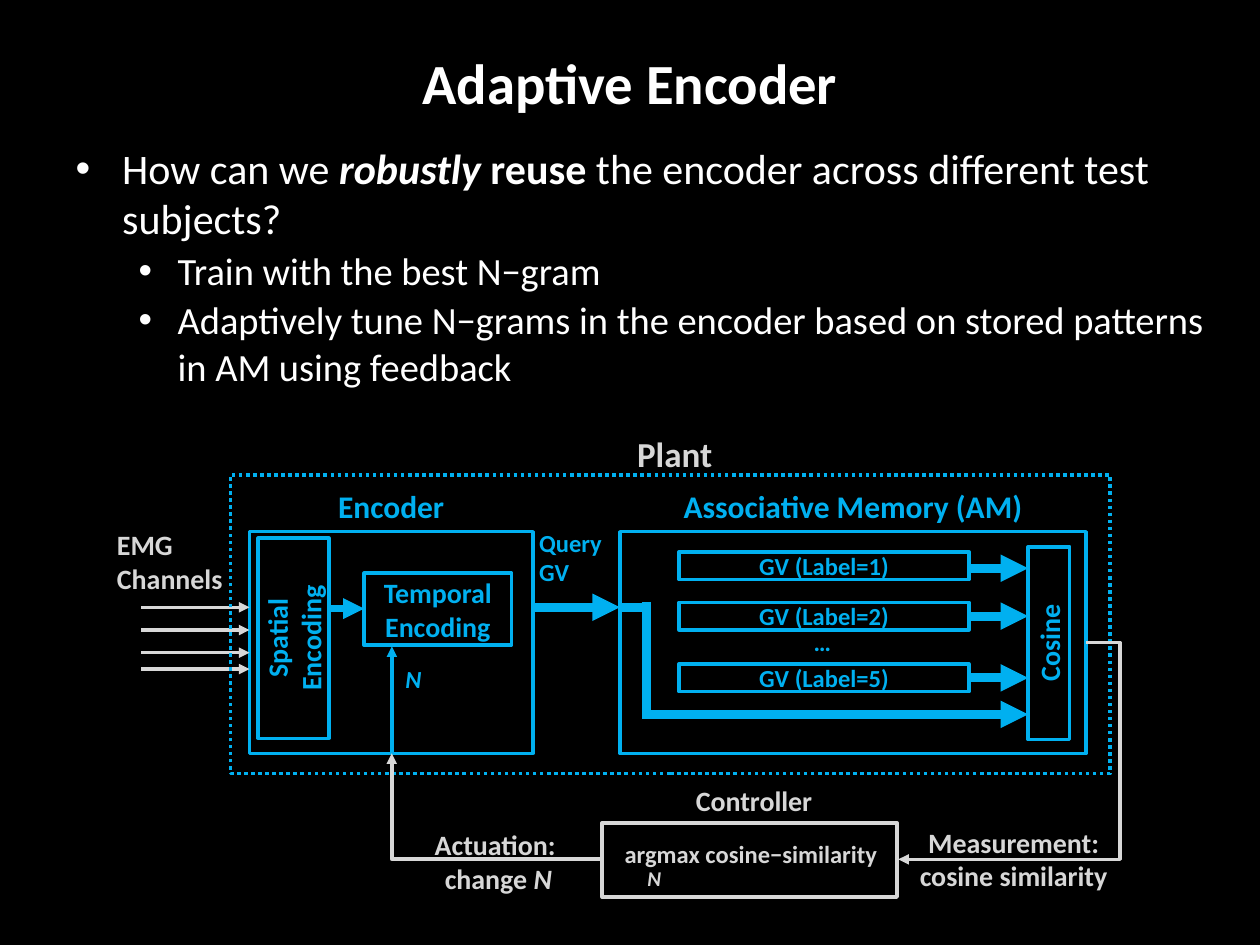
from dataclasses import dataclass

from lxml.etree import SubElement
from pptx import Presentation
from pptx.dml.color import RGBColor
from pptx.enum.dml import MSO_LINE_DASH_STYLE as Dash
from pptx.enum.shapes import MSO_CONNECTOR as Connector, MSO_SHAPE as Shape
from pptx.enum.text import MSO_ANCHOR as Anchor, MSO_AUTO_SIZE as AutoSize, PP_ALIGN as Align
from pptx.oxml.ns import qn
from pptx.util import Inches, Pt


@dataclass(frozen=True)
class Theme:
    font: str = "Calibri"
    background: RGBColor = RGBColor(0, 0, 0)
    white: RGBColor = RGBColor(255, 255, 255)
    blue: RGBColor = RGBColor(0x00, 0xB0, 0xF0)
    gray: RGBColor = RGBColor(0xD7, 0xD7, 0xD7)
    title: float = 32.4
    body: float = 24
    sub_body: float = 22
    plant: float = 20
    heading: float = 18
    label: float = 16
    small: float = 14
    tiny: float = 12
    thin: float = 2
    medium: float = 4
    thick: float = 5.25


THEME = Theme()


def format_run(run, size, color, bold=False, italic=False):
    font = run.font
    font.name, font.size, font.bold, font.italic = THEME.font, Pt(size), bold, italic
    font.color.rgb = color


def format_text(text_frame, size, color, align, italic=False):
    for paragraph in text_frame.paragraphs:
        paragraph.alignment = align
        for run in paragraph.runs:
            format_run(run, size, color, bold=True, italic=italic)


def place(shape, left, top, width, height):
    shape.left, shape.top = Inches(left), Inches(top)
    shape.width, shape.height = Inches(width), Inches(height)


def add_title(slide, text):
    title = slide.shapes.title
    place(title, 0.5, 0.3, 9, 0.7)
    title.text_frame.text = text
    title.text_frame.vertical_anchor = Anchor.MIDDLE
    title.text_frame.auto_size = AutoSize.NONE
    format_text(title.text_frame, THEME.title, THEME.white, Align.CENTER)


def add_bullets(slide, bullets):
    """Fill the body from (level, runs); a run is (text, bold, italic)."""
    body = slide.placeholders[1]
    place(body, 0.5, 1.08, 9.33, 2.12)
    text_frame = body.text_frame
    text_frame.auto_size = AutoSize.NONE
    styles = [(0.37, 0.37, 0, THEME.body), (0.81, 0.31, 2, THEME.sub_body)]
    for index, (level, runs) in enumerate(bullets):
        paragraph = text_frame.add_paragraph() if index else text_frame.paragraphs[0]
        margin, hanging, space_before, size = styles[level]
        paragraph.level = level
        paragraph.space_before = Pt(space_before)
        for text, bold, italic in runs:
            run = paragraph.add_run()
            run.text = text
            format_run(run, size, THEME.white, bold, italic)
        properties = paragraph._p.get_or_add_pPr()
        properties.set("marL", str(Inches(margin)))
        properties.set("indent", str(-Inches(hanging)))
        SubElement(properties, qn("a:buChar"), char="•")


def add_box(slide, left, top, width, height, text="", color=THEME.blue,
            size=THEME.label, vertical=False, dash=None):
    box = slide.shapes.add_shape(Shape.RECTANGLE, 0, 0, 0, 0)
    place(box, left, top, width, height)
    box.shadow.inherit = False
    box.fill.background()
    box.line.color.rgb = color
    box.line.width = Pt(THEME.thin)
    if dash:
        box.line.dash_style = dash
    if text:
        text_frame = box.text_frame
        text_frame.text = text
        text_frame.vertical_anchor = Anchor.MIDDLE
        format_text(text_frame, size, color, Align.CENTER)
        if vertical:
            text_frame._txBody.bodyPr.set("vert", "vert270")


def add_label(slide, left, top, width, height, text, size, color,
              align=Align.CENTER, wrap=True, italic=False):
    label = slide.shapes.add_textbox(
        Inches(left), Inches(top), Inches(width), Inches(height))
    text_frame = label.text_frame
    text_frame.text = text
    text_frame.word_wrap = wrap
    text_frame.auto_size = AutoSize.SHAPE_TO_FIT_TEXT
    format_text(text_frame, size, color, align, italic)
    return label


def add_line(slide, start, end, color=THEME.blue, width=THEME.thick,
             arrow=True, kind=Connector.STRAIGHT):
    line = slide.shapes.add_connector(kind, *map(Inches, start + end))
    line.line.color.rgb = color
    line.line.width = Pt(width)
    if arrow:
        SubElement(line.line._get_or_add_ln(), qn("a:tailEnd"), type="triangle")
    SubElement(line._element.spPr, qn("a:effectLst"))
    return line


def add_elbow(slide, start, end, preset, bend=None):
    """Add a gray elbow arrow; bend is the turning point as a share of its width."""
    elbow = add_line(slide, start, end, THEME.gray, THEME.thin, kind=Connector.ELBOW)
    geometry = elbow._element.spPr.find(qn("a:prstGeom"))
    geometry.set("prst", preset)
    if bend is not None:
        adjustments = geometry.get_or_add_avLst()
        SubElement(adjustments, qn("a:gd"), name="adj1", fmla=f"val {round(bend * 100000)}")


def add_associative_memory(slide):
    add_box(slide, 4.92, 4.22, 3.7, 1.76)
    add_label(slide, 4.92, 3.82, 3.7, 0.4, "Associative Memory (AM)", THEME.heading, THEME.blue)
    for number, top, arrow_y in [(1, 4.38, 4.51), (2, 4.78, 4.89), (5, 5.27, 5.38)]:
        add_box(slide, 5.39, top, 2.3, 0.22, f"GV (Label={number})", size=THEME.small)
        add_line(slide, (7.69, arrow_y), (8.16, arrow_y))
    add_label(slide, 6.36, 4.93, 0.51, 0.38, "…", THEME.small, THEME.blue, Align.LEFT)
    add_box(slide, 8.16, 4.34, 0.33, 1.53, "Cosine", vertical=True)
    add_line(slide, (4.23, 4.82), (4.92, 4.82))
    add_line(slide, (5.13, 5.67), (8.16, 5.67))
    add_line(slide, (4.92, 4.82), (5.17, 4.82), arrow=False)
    add_line(slide, (5.13, 4.78), (5.13, 5.71), arrow=False)
    add_label(slide, 4.18, 4.14, 0.76, 0.64, "Query\vGV", THEME.small, THEME.blue,
              Align.LEFT, wrap=False)


def add_encoder(slide):
    add_box(slide, 1.98, 4.22, 2.25, 1.76)
    add_label(slide, 1.98, 3.82, 2.25, 0.4, "Encoder", THEME.heading, THEME.blue)
    add_label(slide, 0.83, 4.14, 1.05, 0.64, "EMG\nChannels", THEME.label, THEME.gray,
              Align.LEFT, wrap=False)
    for y in (4.82, 5, 5.18, 5.31):
        add_line(slide, (1.12, y), (1.98, y), THEME.gray, THEME.thin)
    add_box(slide, 2.05, 4.27, 0.56, 1.59, "Spatial Encoding", vertical=True)
    add_box(slide, 2.89, 4.55, 1.17, 0.57, "Temporal\nEncoding")
    add_line(slide, (2.61, 4.83), (2.89, 4.83), width=THEME.medium)
    add_line(slide, (3.11, 5.98), (3.11, 5.13), width=THEME.thin)
    add_label(slide, 3.12, 5.22, 1.04, 0.38, "N", THEME.small, THEME.blue,
              Align.LEFT, italic=True)


def add_controller(slide):
    gray = THEME.gray
    add_box(slide, 4.78, 6.53, 2.34, 0.59, color=gray)
    add_label(slide, 5.03, 6.17, 1.91, 0.38, "Controller", THEME.label, gray)
    add_elbow(slide, (8.62, 5.1), (7.13, 6.82), "bentConnector3", bend=-0.18)
    add_label(slide, 7.09, 6.5, 1.91, 0.64, "Measurement: cosine similarity", THEME.label, gray)
    add_elbow(slide, (4.78, 6.82), (3.11, 5.98), "bentConnector2")
    actuation = add_label(slide, 3, 6.52, 1.91, 0.64, "Actuation: \nchange ", THEME.label, gray)
    variable = actuation.text_frame.paragraphs[1].add_run()
    variable.text = "N"
    format_run(variable, THEME.label, gray, bold=True, italic=True)
    add_label(slide, 4.75, 6.61, 2.42, 0.34, "argmax cosine−similarity", THEME.small, gray)
    add_label(slide, 5.04, 6.82, 0.25, 0.34, "N", THEME.tiny, gray, italic=True)


def main():
    presentation = Presentation()
    presentation.slide_width, presentation.slide_height = Inches(10), Inches(7.5)
    slide = presentation.slides.add_slide(presentation.slide_layouts[1])
    slide.background.fill.solid()
    slide.background.fill.fore_color.rgb = THEME.background

    add_title(slide, "Adaptive Encoder")
    add_bullets(slide, [
        (0, [("How can we ", False, False), ("robustly", True, True), (" reuse", True, False),
             (" the encoder across different test subjects?", False, False)]),
        (1, [("Train with the best N−gram", False, False)]),
        (1, [("Adaptively tune N−grams in the encoder based on stored patterns "
              "in AM using feedback", False, False)]),
    ])
    add_associative_memory(slide)
    add_encoder(slide)
    add_box(slide, 1.83, 3.77, 6.98, 2.37, dash=Dash.ROUND_DOT)
    add_label(slide, 4.23, 3.38, 2.25, 0.44, "Plant", THEME.plant, THEME.gray)
    add_controller(slide)
    presentation.save("out.pptx")


if __name__ == "__main__":
    main()
